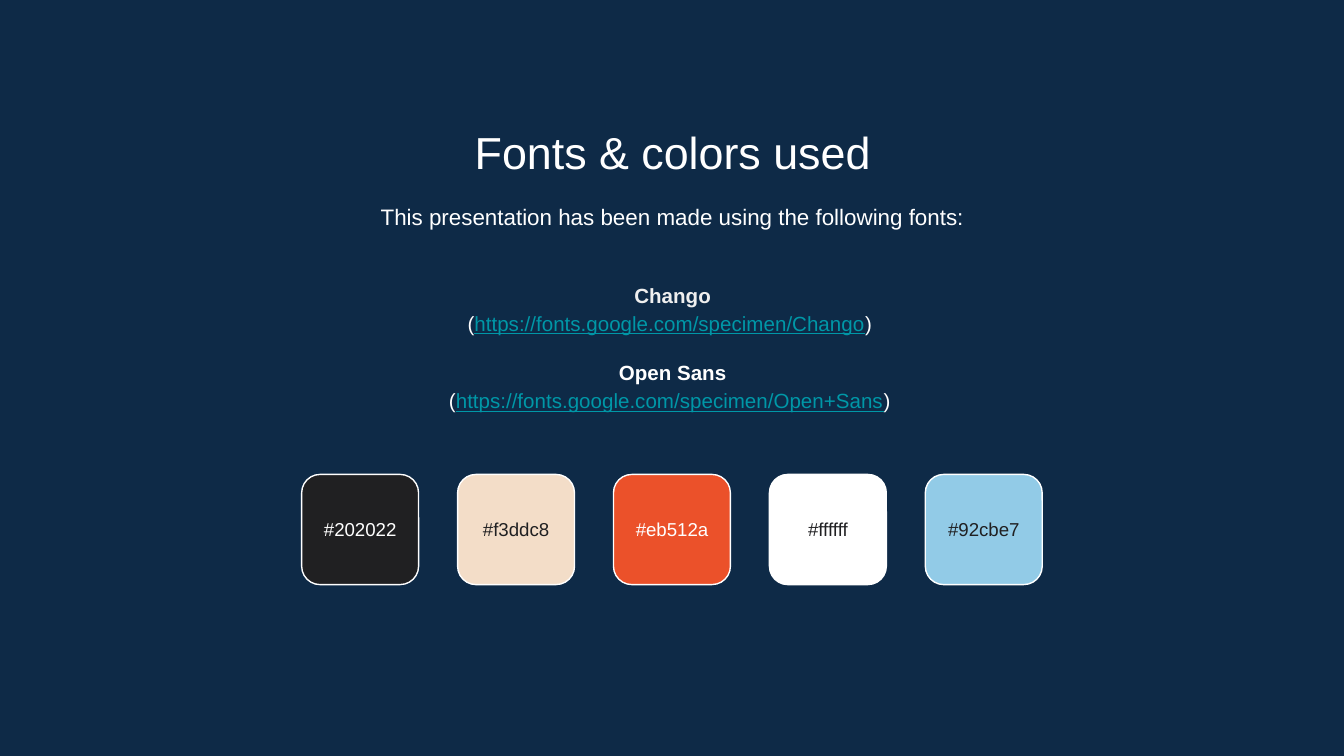
from pptx import Presentation
from pptx.dml.color import RGBColor
from pptx.enum.shapes import MSO_SHAPE
from pptx.enum.text import MSO_ANCHOR, MSO_AUTO_SIZE, PP_ALIGN
from pptx.util import Inches, Pt

NAVY = RGBColor(0x0E, 0x2A, 0x47)
WHITE = RGBColor(0xFF, 0xFF, 0xFF)
LIGHT = RGBColor(0xEF, 0xEF, 0xEF)
TEAL = RGBColor(0x00, 0x97, 0xA7)
DARK = RGBColor(0x20, 0x20, 0x22)

TITLE = "Fonts & colors used"
INTRO = "This presentation has been made using the following fonts:"
FONTS = [  # name, name colour, address
    ("Chango", LIGHT, "https://fonts.google.com/specimen/Chango"),
    ("Open Sans", WHITE, "https://fonts.google.com/specimen/Open+Sans"),
]
SWATCHES = [  # colour code, label colour
    ("#202022", WHITE),
    ("#f3ddc8", DARK),
    ("#eb512a", WHITE),
    ("#ffffff", DARK),
    ("#92cbe7", DARK),
]

SLIDE_W = 10
SLIDE_H = SLIDE_W * 9 / 16
TEXT_LEFT, TEXT_W = 1.15, 7.71
SWATCH_TOP, SWATCH_W, SWATCH_H, SWATCH_GAP = 3.53, 0.87, 0.82, 0.29
LABEL_H = 0.48


def place(sp, left, top, width, height):
    sp.left, sp.top = Inches(left), Inches(top)
    sp.width, sp.height = Inches(width), Inches(height)


def write(sp, paragraphs, size, anchor=MSO_ANCHOR.TOP, line_spacing=1.0):
    """Fill sp with centred paragraphs given as (space before, [(text, font values)])."""
    tf = sp.text_frame
    frame = {"word_wrap": True, "auto_size": MSO_AUTO_SIZE.NONE, "vertical_anchor": anchor}
    frame.update({f"margin_{side}": Inches(0.1) for side in ("left", "top", "right", "bottom")})
    for name, value in frame.items():
        setattr(tf, name, value)
    for i, (before, runs) in enumerate(paragraphs):
        p = tf.add_paragraph() if i else tf.paragraphs[0]
        p.alignment = PP_ALIGN.CENTER
        p.line_spacing = line_spacing
        p.space_before = Pt(before)
        for text, values in runs:
            r = p.add_run()
            r.text = text
            font = {"name": "Arial", "size": Pt(size), "bold": False, "color": WHITE, **values}
            r.font.color.rgb = font.pop("color")
            for name, value in font.items():
                setattr(r.font, name, value)


prs = Presentation()
prs.slide_width, prs.slide_height = Inches(SLIDE_W), Inches(SLIDE_H)
s = prs.slides.add_slide(prs.slide_layouts.get_by_name("Comparison"))
s.background.fill.solid()
s.background.fill.fore_color.rgb = NAVY

holders = {sp.placeholder_format.idx: sp for sp in s.placeholders}
title, intro, fonts = holders[0], holders[1], holders[3]
for idx in (2, 4):
    element = holders[idx].element
    element.getparent().remove(element)

place(title, TEXT_LEFT, 0.83, TEXT_W, 0.53)
write(title, [(0, [(TITLE, {})])], 24)

place(intro, TEXT_LEFT, 1.38, TEXT_W, 0.48)
write(intro, [(0, [(INTRO, {})])], 12, line_spacing=1.15)

font_lines = []
for i, (name, color, address) in enumerate(FONTS):
    font_lines.append((11 if i else 0, [(name, {"bold": True, "color": color})]))
    font_lines.append((0, [("(", {}), (address, {"color": TEAL, "underline": True}), (") ", {})]))
place(fonts, TEXT_LEFT, 1.89, TEXT_W, 1.37)
write(fonts, font_lines, 11, MSO_ANCHOR.MIDDLE, 1.15)

pitch = SWATCH_W + SWATCH_GAP
first_left = (SLIDE_W - len(SWATCHES) * pitch + SWATCH_GAP) / 2
label_top = SWATCH_TOP + (SWATCH_H - LABEL_H) / 2
for i, (code, label_color) in enumerate(SWATCHES):
    left = first_left + i * pitch
    swatch = s.shapes.add_shape(MSO_SHAPE.ROUNDED_RECTANGLE, Inches(left), Inches(SWATCH_TOP),
                                Inches(SWATCH_W), Inches(SWATCH_H))
    swatch.shadow.inherit = False
    swatch.fill.solid()
    swatch.fill.fore_color.rgb = RGBColor.from_string(code[1:].upper())
    swatch.line.color.rgb = WHITE
    swatch.line.width = Pt(0.75)
    label = s.shapes.add_textbox(Inches(left), Inches(label_top), Inches(SWATCH_W), Inches(LABEL_H))
    write(label, [(0, [(code, {"color": label_color})])], 10, MSO_ANCHOR.MIDDLE)

prs.save("out.pptx")
